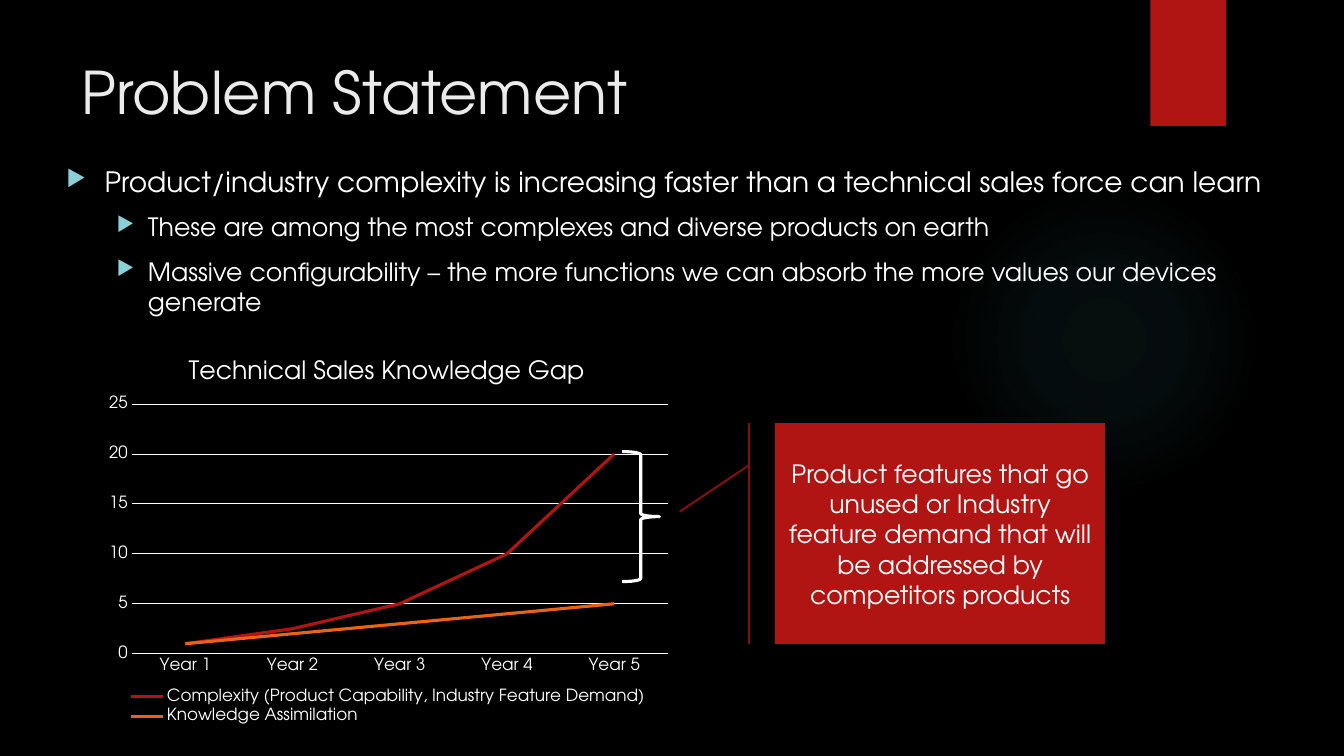
from dataclasses import dataclass

from lxml.etree import SubElement
from pptx import Presentation
from pptx.chart.chart import Chart
from pptx.chart.data import CategoryChartData
from pptx.dml.color import RGBColor
from pptx.enum.chart import XL_CHART_TYPE, XL_LEGEND_POSITION, XL_TICK_MARK
from pptx.enum.shapes import MSO_SHAPE
from pptx.enum.text import MSO_ANCHOR, MSO_AUTO_SIZE, PP_ALIGN
from pptx.oxml import parse_xml
from pptx.oxml.ns import nsdecls, qn
from pptx.shapes.autoshape import Shape
from pptx.slide import Slide
from pptx.text.text import Font
from pptx.util import Inches, Pt


@dataclass(frozen=True)
class Theme:
    font: str = "TeX Gyre Adventor"
    background: str = "000000"
    white: str = "FFFFFF"
    title: str = "EBEBEB"
    red: str = "B01513"
    dark_red: str = "82100E"
    orange: str = "EA6312"
    glow: str = "50B9C1"
    bullet: str = "8AD0D6"
    title_size: int = 42
    lead_size: int = 20
    body_size: int = 18
    label_size: int = 12
    line_width: float = 2.25
    grid_width: float = 0.75


@dataclass(frozen=True)
class Box:
    left: float
    top: float
    width: float
    height: float

    def emu(self) -> tuple[int, ...]:
        return tuple(Inches(side) for side in (self.left, self.top, self.width, self.height))


@dataclass(frozen=True)
class Bullet:
    text: str
    size: int
    level: int
    margin: float
    hanging: float


@dataclass(frozen=True)
class Trend:
    name: str
    values: tuple[float, ...]
    color: str


THEME = Theme()
BULLETS = (
    Bullet("Product/industry complexity is increasing faster than a technical sales force can learn",
           THEME.lead_size, 0, 0.38, 0.38),
    Bullet("These are among the most complexes and diverse products on earth",
           THEME.body_size, 1, 0.81, 0.31),
    Bullet("Massive configurability – the more functions we can absorb the more values our devices generate",
           THEME.body_size, 1, 0.81, 0.31),
)
YEARS = tuple(f"Year {number}" for number in range(1, 6))
TRENDS = (
    Trend("Complexity (Product Capability, Industry Feature Demand)", (1, 2.5, 5, 10, 20), THEME.red),
    Trend("Knowledge Assimilation", (1, 2, 3, 4, 5), THEME.orange),
)


def rgb(color: str) -> RGBColor:
    return RGBColor.from_string(color)


def style_font(font: Font, size: int, color: str = THEME.white) -> None:
    font.name = THEME.font
    font.size = Pt(size)
    font.bold = False
    font.color.rgb = rgb(color)


def add_preset(slide: Slide, kind: MSO_SHAPE, box: Box, fill: str | None = None,
               line: str | None = None, line_width: float = THEME.line_width) -> Shape:
    shape = slide.shapes.add_shape(kind, *box.emu())
    shape.shadow.inherit = False
    if fill:
        shape.fill.solid()
        shape.fill.fore_color.rgb = rgb(fill)
    else:
        shape.fill.background()
    if line:
        shape.line.color.rgb = rgb(line)
        shape.line.width = Pt(line_width)
    else:
        shape.line.fill.background()
    return shape


def add_glow(slide: Slide) -> None:
    shape = add_preset(slide, MSO_SHAPE.OVAL, Box(9.41, 1.83, 3.08, 3.08))
    stops = "".join(
        f'<a:gs pos="{position}000"><a:srgbClr val="{THEME.glow}">'
        f'<a:alpha val="{alpha}000"/></a:srgbClr></a:gs>'
        for position, alpha in ((0, 7), (36, 6), (69, 0), (100, 0))
    )
    gradient = parse_xml(
        f'<a:gradFill {nsdecls("a")} rotWithShape="1"><a:gsLst>{stops}</a:gsLst><a:path path="circle">'
        '<a:fillToRect l="50000" t="50000" r="50000" b="50000"/></a:path></a:gradFill>'
    )
    properties = shape.element.spPr
    properties.replace(properties.find(qn("a:noFill")), gradient)


def add_title(slide: Slide) -> None:
    title = slide.shapes.title
    title.left, title.top, title.width, title.height = Box(0.71, 0.5, 10.29, 1.53).emu()
    frame = title.text_frame
    frame.auto_size = MSO_AUTO_SIZE.NONE
    frame.vertical_anchor = MSO_ANCHOR.TOP
    paragraph = frame.paragraphs[0]
    paragraph.alignment = PP_ALIGN.LEFT
    run = paragraph.add_run()
    run.text = "Problem Statement"
    style_font(run.font, THEME.title_size, THEME.title)


def add_bullets(slide: Slide) -> None:
    frame = slide.shapes.add_textbox(*Box(0.56, 1.58, 12.53, 5.23).emu()).text_frame
    frame.word_wrap = True
    for index, bullet in enumerate(BULLETS):
        paragraph = frame.add_paragraph() if index else frame.paragraphs[0]
        paragraph.level = bullet.level
        paragraph.space_before = Pt(10 if index else 0)
        properties = paragraph._p.get_or_add_pPr()
        properties.set("marL", str(Inches(bullet.margin)))
        properties.set("indent", str(-Inches(bullet.hanging)))
        color = SubElement(properties, qn("a:buClr"))
        SubElement(color, qn("a:srgbClr"), val=THEME.bullet)
        SubElement(properties, qn("a:buSzPct"), val="80000")
        SubElement(properties, qn("a:buChar"), char="▶")
        run = paragraph.add_run()
        run.text = bullet.text
        style_font(run.font, bullet.size)


def manual_layout(inner: bool = False, **fractions: float) -> object:
    target = '<c:layoutTarget val="inner"/>' if inner else ""
    values = "".join(f'<c:{key} val="{value}"/>' for key, value in fractions.items())
    return parse_xml(
        f'<c:layout {nsdecls("c")}><c:manualLayout>{target}<c:xMode val="edge"/>'
        f'<c:yMode val="edge"/>{values}</c:manualLayout></c:layout>'
    )


def place(parent: object, layout: object, predecessor: str | None = None) -> None:
    for existing in parent.findall(qn("c:layout")):
        parent.remove(existing)
    if predecessor:
        parent.find(qn(predecessor)).addnext(layout)
    else:
        parent.insert(0, layout)


def style_axes(chart: Chart) -> None:
    for axis in (chart.category_axis, chart.value_axis):
        axis.major_tick_mark = axis.minor_tick_mark = XL_TICK_MARK.NONE
        style_font(axis.tick_labels.font, THEME.label_size)
    values = chart.value_axis
    values.minimum_scale, values.maximum_scale, values.major_unit = 0, 25, 5
    values.format.line.fill.background()
    for line in (chart.category_axis.format.line, values.major_gridlines.format.line):
        line.color.rgb = rgb(THEME.white)
        line.width = Pt(THEME.grid_width)


def add_gap_chart(slide: Slide) -> None:
    data = CategoryChartData()
    data.categories = YEARS
    for trend in TRENDS:
        data.add_series(trend.name, trend.values)
    box = Box(0.96, 3.39, 5.78, 3.87)
    chart = slide.shapes.add_chart(XL_CHART_TYPE.LINE, *box.emu(), data).chart
    style_font(chart.font, THEME.label_size)
    chart.plots[0].vary_by_categories = False
    for series, trend in zip(chart.plots[0].series, TRENDS):
        series.smooth = False
        series.format.line.color.rgb = rgb(trend.color)
        series.format.line.width = Pt(THEME.line_width)
    style_axes(chart)
    run = chart.chart_title.text_frame.paragraphs[0].add_run()
    run.text = "Technical Sales Knowledge Gap"
    style_font(run.font, THEME.body_size)
    chart.has_legend = True
    chart.legend.position = XL_LEGEND_POSITION.BOTTOM
    chart.legend.include_in_layout = False
    style_font(chart.legend.font, THEME.label_size)
    area = chart._chartSpace.chart
    place(area.find(qn("c:title")), manual_layout(x=0.15, y=0.03), "c:tx")
    place(area.plotArea, manual_layout(True, x=0.06, y=0.16, w=0.92, h=0.64))
    place(area.find(qn("c:legend")), manual_layout(x=0.05, y=0.88, w=0.9, h=0.11), "c:legendPos")


def add_callout(slide: Slide) -> None:
    callout = add_preset(slide, MSO_SHAPE.LINE_CALLOUT_1_ACCENT_BAR, Box(7.69, 4.2, 3.27, 2.19),
                         THEME.red, THEME.dark_red, 1.5)
    for index, value in enumerate((0.19, -0.08, 0.4, -0.29)):
        callout.adjustments[index] = value
    frame = callout.text_frame
    frame.word_wrap = True
    frame.vertical_anchor = MSO_ANCHOR.MIDDLE
    paragraph = frame.paragraphs[0]
    paragraph.alignment = PP_ALIGN.CENTER
    run = paragraph.add_run()
    run.text = ("Product features that go unused or Industry feature demand "
                "that will be addressed by competitors products")
    style_font(run.font, THEME.body_size)


def main() -> None:
    presentation = Presentation()
    presentation.slide_width, presentation.slide_height = Inches(13.33), Inches(7.5)
    slide = presentation.slides.add_slide(presentation.slide_layouts[5])
    slide.background.fill.solid()
    slide.background.fill.fore_color.rgb = rgb(THEME.background)
    add_glow(slide)
    add_preset(slide, MSO_SHAPE.RECTANGLE, Box(11.41, 0, 0.75, 1.25), THEME.red)
    add_title(slide)
    add_bullets(slide)
    add_gap_chart(slide)
    add_preset(slide, MSO_SHAPE.RIGHT_BRACE, Box(6.17, 4.48, 0.37, 1.29), line=THEME.white)
    add_callout(slide)
    presentation.save("out.pptx")


if __name__ == "__main__":
    main()
